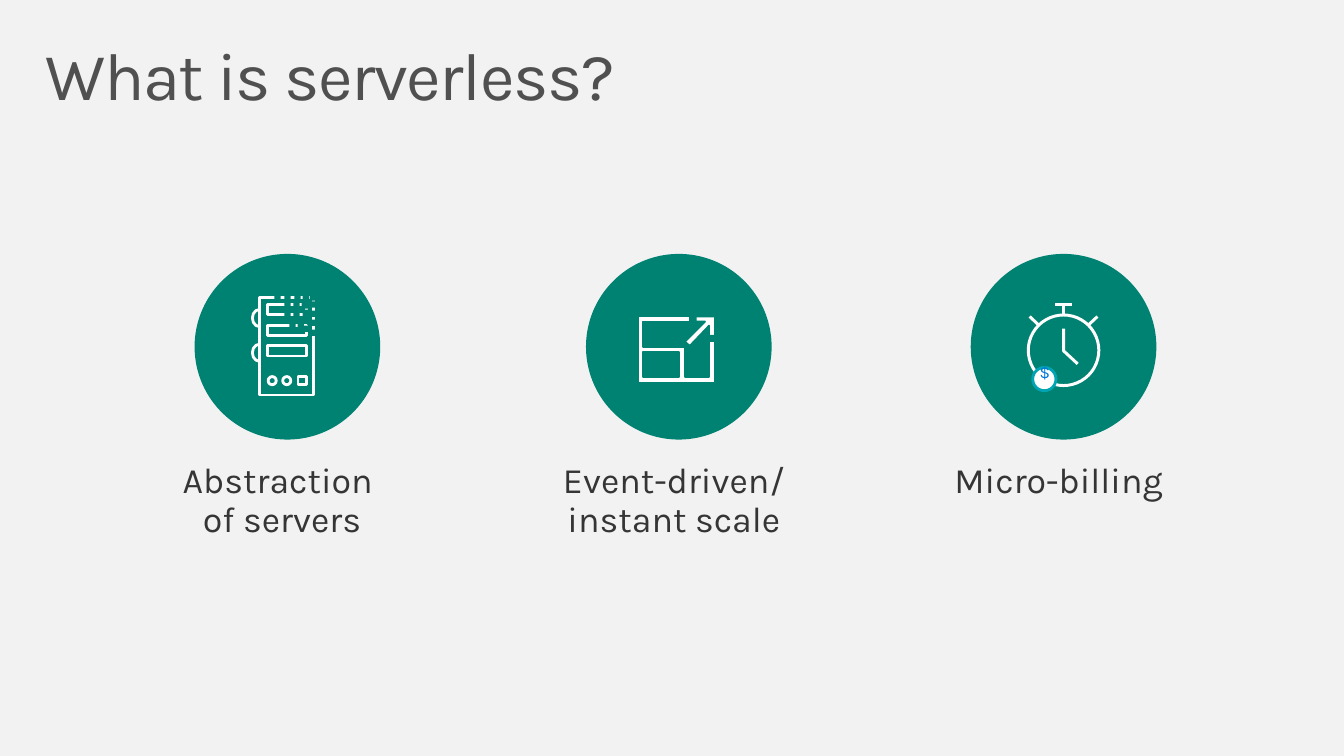
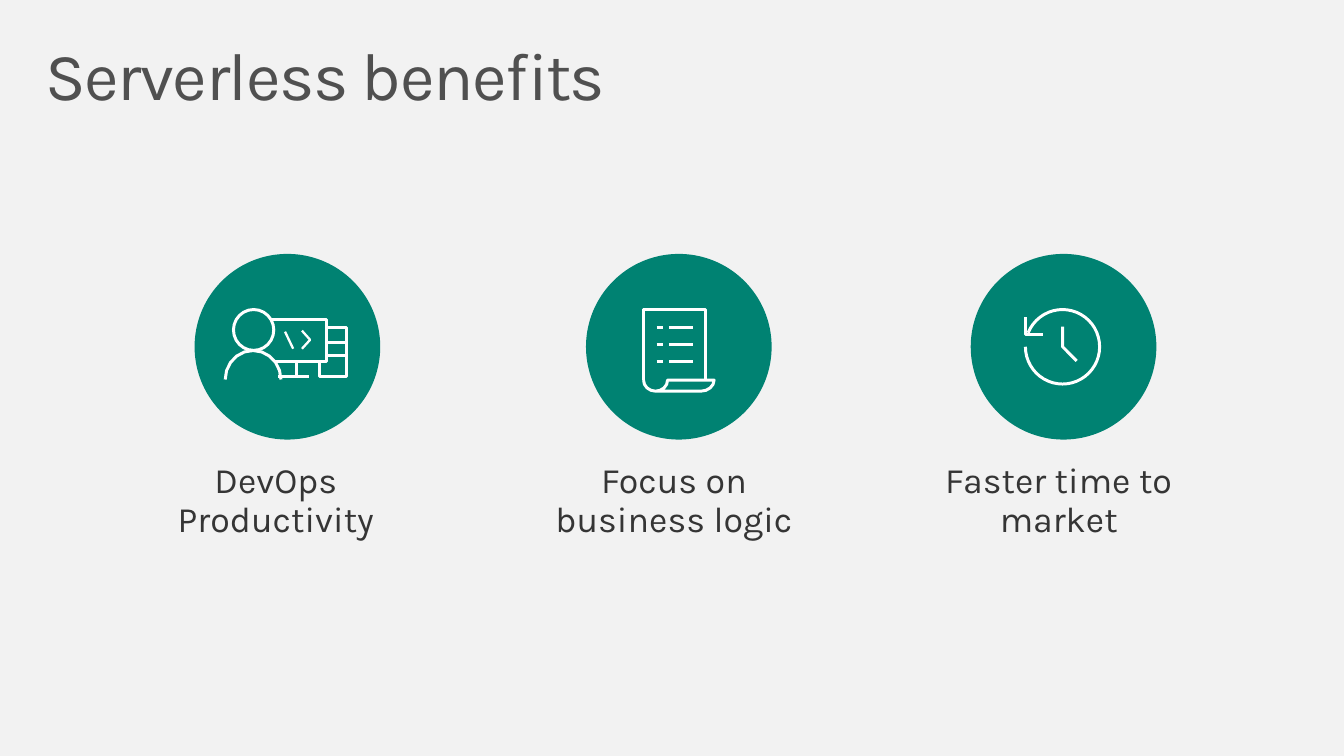
from math import cos, radians, sin

from lxml.etree import SubElement
from pptx import Presentation
from pptx.dml.color import RGBColor
from pptx.enum.shapes import MSO_CONNECTOR, MSO_SHAPE
from pptx.enum.text import MSO_ANCHOR, PP_ALIGN
from pptx.oxml.ns import qn
from pptx.util import Pt

FONT = "Karla"
COLORS = {
    "background": "F2F2F2", "title": "505050", "caption": "353535", "disc": "008272",
    "white": "FFFFFF", "badge": "00A4B3", "dollar": "0078D7",
}
COLORS = {name: RGBColor.from_string(value) for name, value in COLORS.items()}
STROKE, THIN, SERVER_STROKE = 2.13, 1.63, 2
DISC_SIZE = 132.6
CENTRE_Y = 247.7
LEFT, MIDDLE, RIGHT = 205.3, 484.9, 759.7


def draw_shape(page, centre, kind, left, top, width, height, fill=None, line=None, weight=STROKE):
    """Draw a preset shape placed relative to the centre of a disc."""
    shape = page.shapes.add_shape(
        kind, Pt(centre + left), Pt(CENTRE_Y + top), Pt(width), Pt(height))
    shape.shadow.inherit = False
    if fill:
        shape.fill.solid()
        shape.fill.fore_color.rgb = COLORS[fill]
    else:
        shape.fill.background()
    if line:
        shape.line.color.rgb = COLORS[line]
        shape.line.width = Pt(weight)
    else:
        shape.line.fill.background()
    return shape


def arc_points(x, y, radius_x, radius_y, start, end, steps):
    """Return points on an ellipse; angles are in degrees, clockwise from the right."""
    angles = [radians(start + (end - start) * step / steps) for step in range(steps + 1)]
    return [(x + radius_x * cos(angle), y + radius_y * sin(angle)) for angle in angles]


deck = Presentation()
deck.slide_width, deck.slide_height = Pt(960), Pt(540)
definition, benefits = [deck.slides.add_slide(deck.slide_layouts[6]) for _ in range(2)]

for page in (definition, benefits):
    page.background.fill.solid()
    page.background.fill.fore_color.rgb = COLORS["background"]
    for centre in (LEFT, MIDDLE, RIGHT):
        draw_shape(page, centre, MSO_SHAPE.OVAL, -DISC_SIZE / 2, -DISC_SIZE / 2,
                   DISC_SIZE, DISC_SIZE, fill="disc")

# Server that dissolves into tiles
server_parts = [(MSO_SHAPE.RECTANGLE, -20, -35.3, 38.6, 69.8)]
server_parts += [(MSO_SHAPE.RECTANGLE, -14, -30.2 + 14.8 * bay, 27.5, 7.2) for bay in range(3)]
server_parts += [
    (MSO_SHAPE.OVAL, -13.8, 21.3, 5.8, 5.8),
    (MSO_SHAPE.OVAL, -3.4, 21.3, 5.8, 5.8),
    (MSO_SHAPE.RECTANGLE, 7.6, 21.3, 5.8, 5.8),
]
for part in server_parts:
    draw_shape(definition, LEFT, *part, fill="disc", line="white", weight=SERVER_STROKE)

TILE = 4.5
tiles = [
    (-9.4, -37.4), (-2.2, -38.2), (5, -37.4), (10.8, -38.2), (15.8, -37.4),
    (-2.2, -33.1), (4.3, -33.1), (10.1, -31.7), (17.3, -32.4),
    (-2.2, -24.5), (4.3, -25.2), (10.8, -26.6), (17.3, -25.9),
    (1.4, -17.3), (7.2, -17.3), (10.8, -15.1), (16.6, -19.4), (16.6, -12.2),
]
for left, top in tiles:
    draw_shape(definition, LEFT, MSO_SHAPE.RECTANGLE, left, top, TILE, TILE, fill="disc")

# Stopwatch with its badge, and the head of the developer
draw_shape(definition, RIGHT, MSO_SHAPE.OVAL, -25.2, -22.7, 50.4, 50.4, line="white")
draw_shape(definition, RIGHT, MSO_SHAPE.OVAL, -22, 14.8, 16.6, 16.6,
           fill="white", line="badge", weight=2)
draw_shape(benefits, LEFT, MSO_SHAPE.OVAL, -38.5, -26.6, 28.8, 29.2, line="white")

# Clock turning back: an arc from 202 to 180 degrees, in the shape's units
clock = draw_shape(benefits, RIGHT, MSO_SHAPE.ARC, -27.2, -26.6, 53, 53.2, line="white")
clock.adjustments[0], clock.adjustments[1] = 202 * 0.6, 180 * 0.6

# Solid outlines of the resize icon, each a list of contours
resize_frame = [
    [(21.6, 21.6), (4.3, 21.6), (4.3, 0), (-25.6, 0), (-25.6, -18), (7.9, -18), (7.9, -21.6),
     (-29.2, -21.6), (-29.2, 25.9), (25.9, 25.9), (25.9, -4.3), (21.6, -4.3)],
    [(-25.6, 3.6), (0, 3.6), (0, 21.6), (-25.6, 21.6)],
]
resize_arrow = [
    [(12.2, -18), (18.7, -18), (4.3, -3.6), (7.9, -0.7), (21.6, -15.1), (21.6, -7.9),
     (25.9, -7.9), (25.9, -21.6), (12.2, -21.6)],
]
scroll_curl = (arc_points(-16.6, 23.8, 8.6, 7.9, 180, 0, 8)
               + arc_points(15.8, 23.8, 9.4, 7.9, 0, 90, 4) + [(-16.6, 31.7)])

# Page, disc centre, contours, solid or open, line width
outlines = [
    (definition, MIDDLE, resize_frame, True, 1.25),
    (definition, MIDDLE, resize_arrow, True, 1.25),
]
open_paths = [
    (definition, LEFT, arc_points(-20, -20.5, 5, 6.1, 90, 270, 6), SERVER_STROKE),
    (definition, LEFT, arc_points(-20, 4.3, 5, 6.1, 90, 270, 6), SERVER_STROKE),
    (definition, RIGHT, [(0, -13), (0, 2.9), (10.1, 12.2)], STROKE),
    # Developer, monitor, tower and code bracket
    (benefits, LEFT, arc_points(-24.5, 23.4, 19.9, 20.7, 180, 360, 10), STROKE),
    (benefits, LEFT, [(-8.6, 10.4), (28.1, 10.4), (28.1, -19.4), (-12.2, -19.4)], STROKE),
    (benefits, LEFT, [(28.1, -13.7), (42.5, -13.7), (42.5, 20.9), (23, 20.9), (23, 10.1)], STROKE),
    (benefits, LEFT, [(10.4, -11.5), (16.2, -5), (10.4, 1.4)], THIN),
    # Scroll
    (benefits, MIDDLE, scroll_curl, STROKE),
    (benefits, MIDDLE, [(-25.4, 23.8), (-25.4, -26.6), (19.2, -26.6), (19.2, 23.8)], STROKE),
    # Hands and arrow of the clock
    (benefits, RIGHT, [(-0.7, -14.4), (-0.7, 0), (9.4, 10.1)], STROKE),
    (benefits, RIGHT, [(-14.8, -9), (-27, -9), (-27, -20.9)], STROKE),
]
outlines += [(page, centre, [points], False, weight) for page, centre, points, weight in open_paths]

for page, centre, contours, solid, weight in outlines:
    placed = [[(Pt(centre + x), Pt(CENTRE_Y + y)) for x, y in contour] for contour in contours]
    builder = page.shapes.build_freeform(*placed[0][0])
    builder.add_line_segments(placed[0][1:], close=solid)
    for contour in placed[1:]:
        builder.move_to(*contour[0])
        builder.add_line_segments(contour[1:], close=solid)
    outline = builder.convert_to_shape()
    outline.shadow.inherit = False
    if solid:
        outline.fill.solid()
        outline.fill.fore_color.rgb = COLORS["white"]
    else:
        outline.fill.background()
    outline.line.color.rgb = COLORS["disc" if solid else "white"]
    outline.line.width = Pt(weight)

# Page, disc centre, start and end of each stroke, line width
strokes = [
    (definition, RIGHT, (-5.8, -30.2, 5.8, -30.2), STROKE),
    (definition, RIGHT, (0, -23, 0, -30.2), STROKE),
    (definition, RIGHT, (24.2, -21.6, 17.3, -15.1), STROKE),
    (definition, RIGHT, (-24.2, -21.6, -17.3, -15.1), STROKE),
    (benefits, LEFT, (6.2, 20.9, 6.2, 10.1), STROKE),
    (benefits, LEFT, (15.1, 20.9, -6.5, 20.9), STROKE),
    (benefits, LEFT, (42.5, -2.9, 28.1, -2.9), STROKE),
    (benefits, LEFT, (42.5, 6.5, 28.1, 6.5), STROKE),
    (benefits, LEFT, (-1.7, -10.8, 4.1, 1.4), THIN),
]
for row in range(3):
    y = -13.8 + 12.2 * row
    for start, end in ((-15.8, -11.5), (-7.2, 10.1)):
        strokes.append((benefits, MIDDLE, (start, y, end, y), STROKE))

for page, centre, (x1, y1, x2, y2), weight in strokes:
    stroke = page.shapes.add_connector(
        MSO_CONNECTOR.STRAIGHT, Pt(centre + x1), Pt(CENTRE_Y + y1),
        Pt(centre + x2), Pt(CENTRE_Y + y2))
    stroke.line.color.rgb = COLORS["white"]
    stroke.line.width = Pt(weight)
    SubElement(stroke._element.spPr, qn("a:effectLst"))

# Style: size, colour, alignment, space after, insets (left, top, right, bottom), tracking
STYLES = {
    "title": (48, PP_ALIGN.LEFT, 0, (11.5, 7.2, 11.5, 7.2), -1),
    "caption": (25.5, PP_ALIGN.CENTER, 12, (7.2, 11.5, 14.4, 11.5), 0),
    "dollar": (11.8, PP_ALIGN.LEFT, 5.9, (14, 7, 0, 0), 0),
}
TITLE_AREA = (20.9, 23, 918, 70.6)
MIDDLE_CAPTION = (380, 319, 210.2, 79.9)
RIGHT_CAPTION = (663.1, 319, 193.7, 79.9)
texts = [
    (definition, "title", "What is serverless?", TITLE_AREA),
    (definition, "caption", "Abstraction \nof servers", (103.7, 319, 203, 79.9)),
    (definition, "caption", "Event-driven/ instant scale", MIDDLE_CAPTION),
    (definition, "caption", "Micro-billing", (663.1, 319, 193.7, 51.8)),
    (definition, "dollar", "$", (728.6, 253.4, 35.3, 35.3)),
    (benefits, "title", "Serverless benefits", TITLE_AREA),
    (benefits, "caption", "DevOps Productivity", (99.2, 319, 203, 79.9)),
    (benefits, "caption", "Focus on business logic", MIDDLE_CAPTION),
    (benefits, "caption", "Faster time to market", RIGHT_CAPTION),
]
for page, style, text, area in texts:
    size, align, space_after, insets, tracking = STYLES[style]
    frame = page.shapes.add_textbox(*map(Pt, area)).text_frame
    frame.word_wrap = True
    frame.vertical_anchor = MSO_ANCHOR.TOP
    frame.margin_left, frame.margin_top, frame.margin_right, frame.margin_bottom = map(Pt, insets)
    para = frame.paragraphs[0]
    para.alignment = align
    para.line_spacing = 0.9
    para.space_after = Pt(space_after)
    for number, line in enumerate(text.split("\n")):
        if number:
            para.add_line_break()
        span = para.add_run()
        span.text = line
        span.font.name = FONT
        span.font.size = Pt(size)
        span.font.color.rgb = COLORS[style]
        if tracking:
            span.font._element.set("spc", str(tracking * 100))

deck.save("out.pptx")
